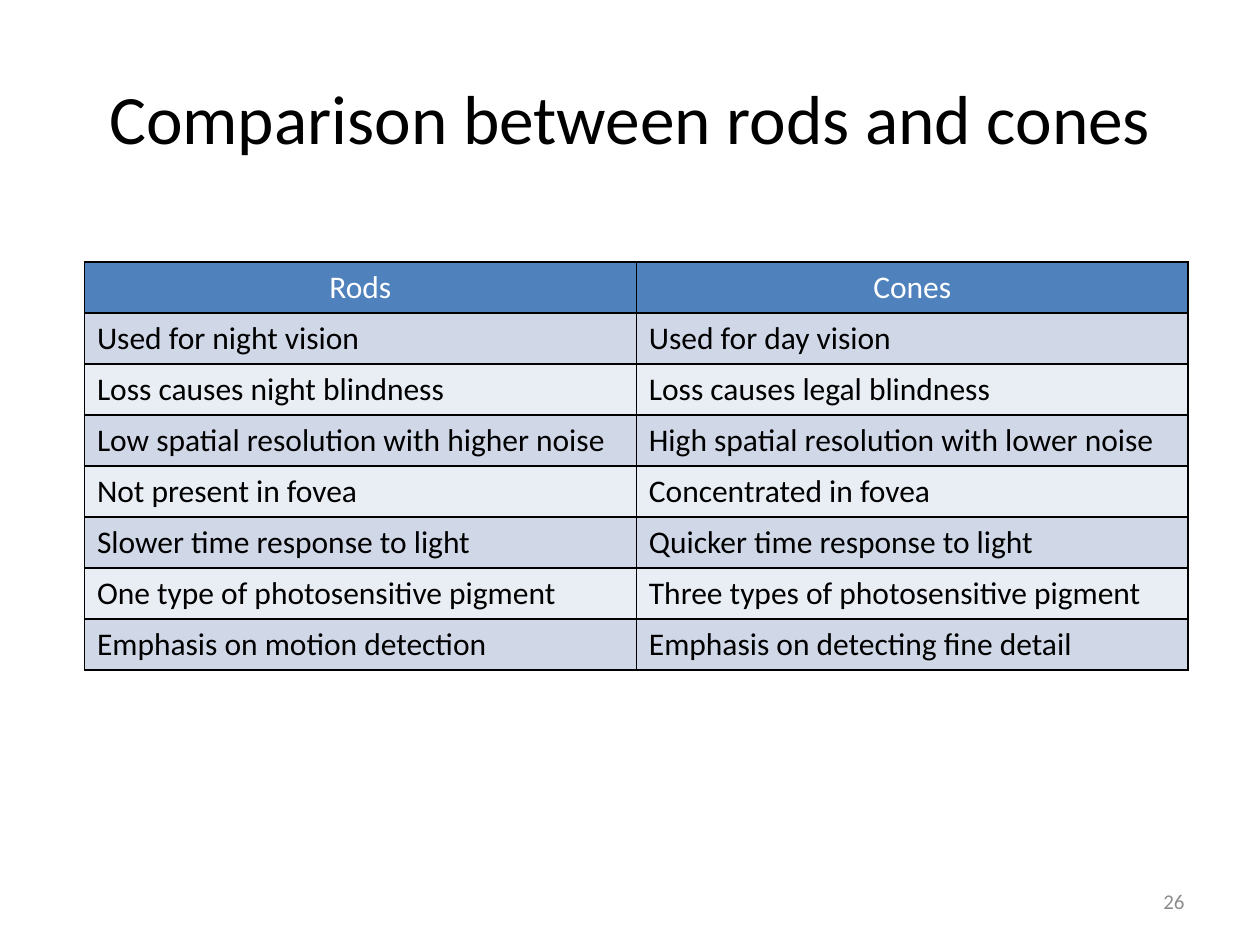
import pptx
import pptx.util
import pptx.dml.color
import pptx.enum.text
import pptx.oxml
import pptx.oxml.ns

Inches = pptx.util.Inches
Align = pptx.enum.text.PP_ALIGN
Anchor = pptx.enum.text.MSO_ANCHOR

ROWS = [
    ("Rods", "Cones"),
    ("Used for night vision", "Used for day vision"),
    ("Loss causes night blindness", "Loss causes legal blindness"),
    ("Low spatial resolution with higher noise",
     "High spatial resolution with lower noise"),
    ("Not present in fovea", "Concentrated in fovea"),
    ("Slower time response to light", "Quicker time response to light"),
    ("One type of photosensitive pigment",
     "Three types of photosensitive pigment"),
    ("Emphasis on motion detection", "Emphasis on detecting fine detail"),
]
HEAD = "4F81BD"
BANDS = ("E9EDF4", "D0D8E8")
COL, ROW = 4.38, 0.405


def color(code):
    return pptx.dml.color.RGBColor.from_string(code)


def write(frame, text, size, code, align):
    frame.text = text
    line = frame.paragraphs[0]
    line.alignment = align
    line.font.name = "Calibri"
    line.font.size = pptx.util.Pt(size)
    line.font.color.rgb = color(code)


def border(cell, code="000000", width=1):
    props = cell._tc.get_or_add_tcPr()
    for at, side in enumerate(("lnL", "lnR", "lnT", "lnB")):
        edge = pptx.oxml.parse_xml(
            f'<a:{side} {pptx.oxml.ns.nsdecls("a")} w="{width * 12700}">'
            f'<a:solidFill><a:srgbClr val="{code}"/></a:solidFill></a:{side}>')
        props.insert(at, edge)


def add_title(slide, text):
    title = slide.shapes.title
    title.left, title.top = Inches(0.5), Inches(0.3)
    title.width, title.height = Inches(9), Inches(1.25)
    title.text_frame.vertical_anchor = Anchor.MIDDLE
    write(title.text_frame, text, 39.6, "000000", Align.CENTER)


def add_number(slide, text):
    box = slide.shapes.add_textbox(
        Inches(7.17), Inches(6.95), Inches(2.33), Inches(0.4))
    box.text_frame.word_wrap = True
    box.text_frame.vertical_anchor = Anchor.MIDDLE
    write(box.text_frame, text, 12, "8C8C8C", Align.RIGHT)


def add_grid(slide, rows):
    wide = len(rows[0])
    grid = slide.shapes.add_table(
        len(rows), wide, Inches(0.67), Inches(2.08),
        Inches(COL * wide), Inches(ROW * len(rows))).table
    for col in grid.columns:
        col.width = Inches(COL)
    for r, texts in enumerate(rows):
        grid.rows[r].height = Inches(ROW)
        for c, text in enumerate(texts):
            cell = grid.cell(r, c)
            cell.fill.solid()
            cell.fill.fore_color.rgb = color(BANDS[r % 2] if r else HEAD)
            border(cell)
            write(cell.text_frame, text, 18,
                  "000000" if r else "FFFFFF",
                  Align.LEFT if r else Align.CENTER)
            cell.text_frame.paragraphs[0].font.bold = False


def main():
    deck = pptx.Presentation()
    deck.slide_width, deck.slide_height = Inches(10), Inches(7.5)
    slide = deck.slides.add_slide(deck.slide_layouts[5])
    add_title(slide, "Comparison between rods and cones")
    add_number(slide, "26")
    add_grid(slide, ROWS)
    deck.save("out.pptx")


if __name__ == "__main__":
    main()
